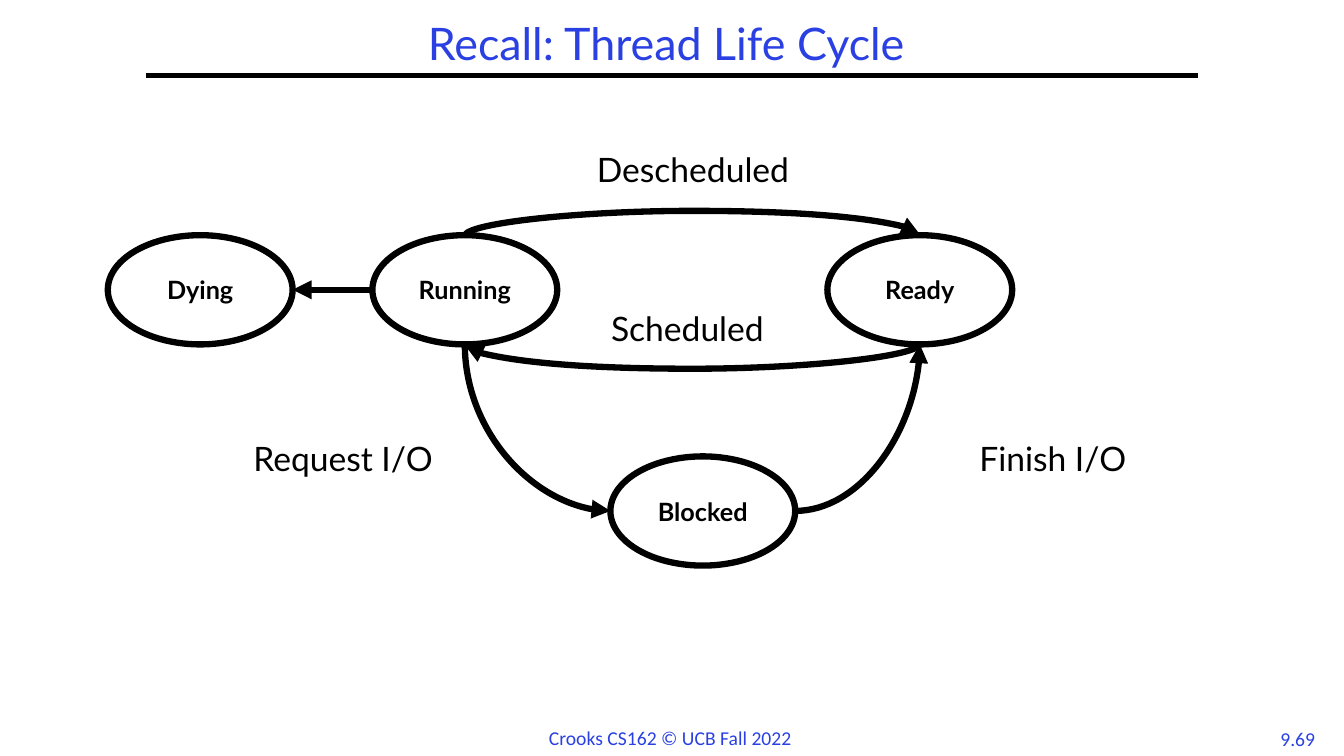
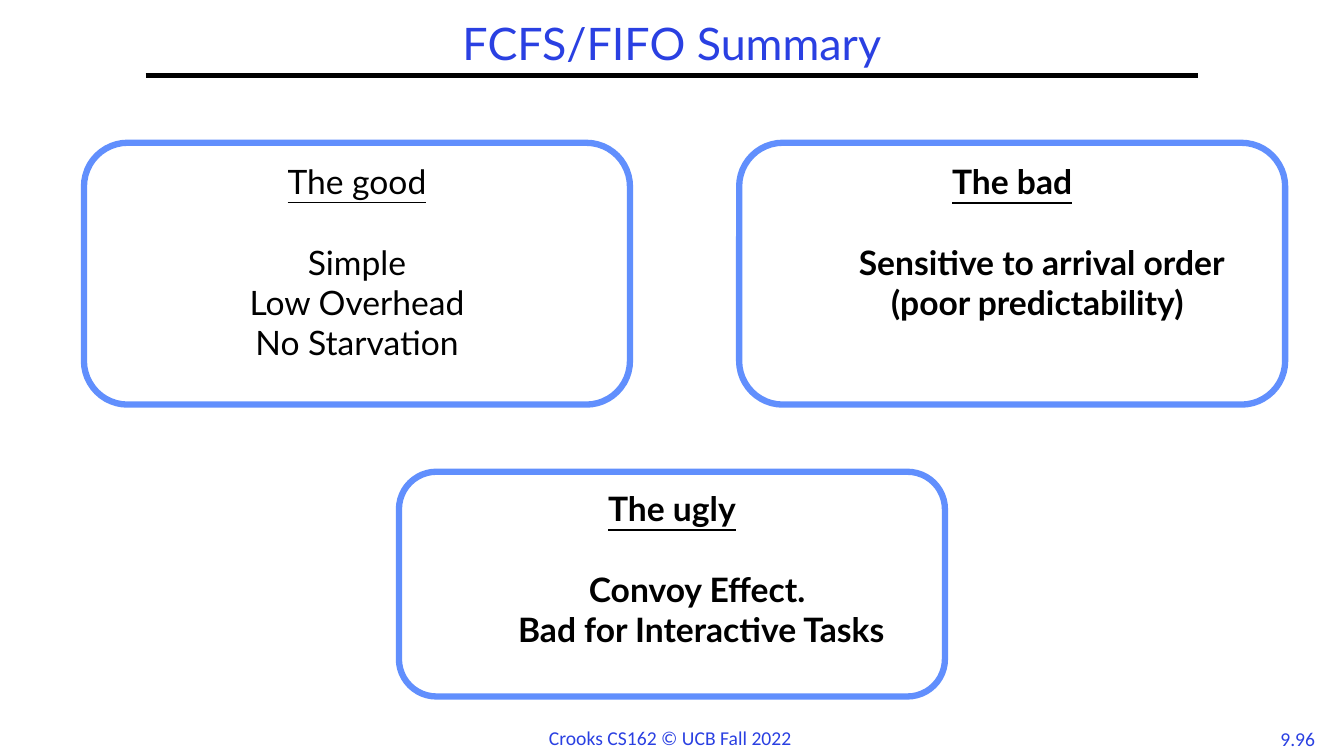
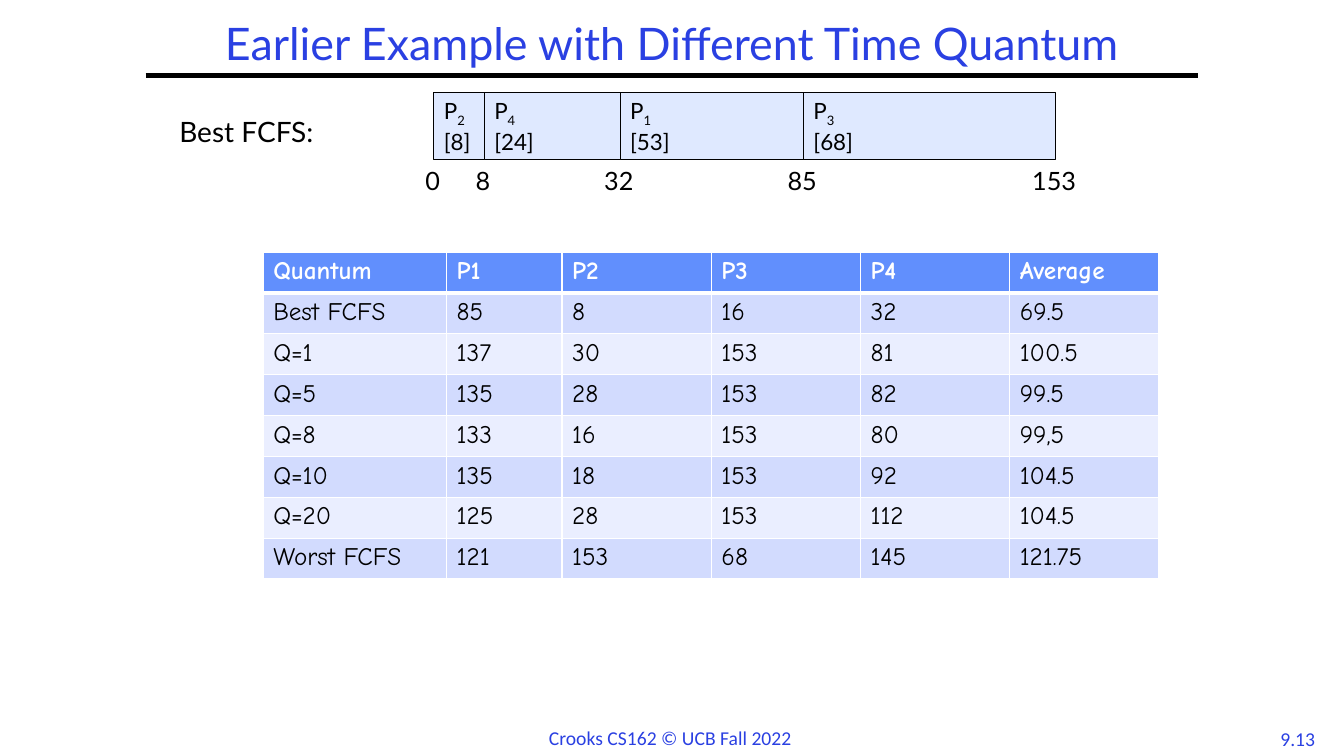
from itertools import accumulate
from math import copysign

from lxml.etree import SubElement
from pptx import Presentation
from pptx.dml.color import RGBColor
from pptx.enum.shapes import MSO_CONNECTOR, MSO_SHAPE
from pptx.enum.text import MSO_ANCHOR, PP_ALIGN
from pptx.oxml.ns import qn
from pptx.util import Pt

COLORS = {
    "accent": "2A40E2",
    "ink": "000000",
    "paper": "FFFFFF",
    "frame": "618FFD",
    "block": "DFE9FF",
    "band_dark": "D2DBFE",
    "band_light": "EAEEFF",
}
# Connection site of an ellipse and its place as a share of width and height
SITES = {"top": (0, 0.5, 0), "left": (2, 0, 0.5), "bottom": (4, 0.5, 1), "right": (6, 1, 0.5)}


def color(name):
    return RGBColor.from_string(COLORS[name])


class Deck:
    font = "Lato"
    footer_font = "Calibri"
    table_font = "Comic Neue"

    def __init__(self):
        self.presentation = Presentation()
        self.presentation.slide_width = Pt(960)
        self.presentation.slide_height = Pt(540)
        self.slide = None

    def new_slide(self, title, number, title_left=104, title_width=752):
        self.slide = self.presentation.slides.add_slide(self.presentation.slide_layouts[6])
        self.label(number, 906, 515.5, 42, 24, size=14, tint="accent", font=self.footer_font, wrap=False)
        rule = self.slide.shapes.add_connector(MSO_CONNECTOR.STRAIGHT, Pt(104), Pt(54), Pt(856), Pt(54))
        self.stroke(rule, 3)
        self.label("Crooks CS162 © UCB Fall 2022", 385, 515, 189.5, 24.5, size=14, tint="accent",
                   font=self.footer_font, align=PP_ALIGN.LEFT, wrap=False)
        self.label(title, title_left, 12, title_width, 42, size=32, tint="accent",
                   anchor=MSO_ANCHOR.MIDDLE, spacing=0.9)

    def add_run(self, paragraph, text, size, tint="ink", font=None, bold=False, underline=False, baseline=0):
        run = paragraph.add_run()
        run.text = text
        run.font.size = Pt(size)
        run.font.name = font or self.font
        run.font.color.rgb = color(tint)
        run.font.bold = bold
        run.font.underline = underline
        if baseline:
            run.font._element.set("baseline", str(baseline * 1000))

    def label(self, text, left, top, width, height, size=24, tint="ink", font=None,
              align=PP_ALIGN.CENTER, anchor=MSO_ANCHOR.TOP, wrap=True, spacing=None):
        box = self.slide.shapes.add_textbox(Pt(left), Pt(top), Pt(width), Pt(height))
        box.text_frame.word_wrap = wrap
        box.text_frame.vertical_anchor = anchor
        paragraph = box.text_frame.paragraphs[0]
        paragraph.alignment = align
        paragraph.line_spacing = spacing
        self.add_run(paragraph, text, size, tint, font)

    def stroke(self, connector, weight):
        connector.line.color.rgb = color("ink")
        connector.line.width = Pt(weight)
        SubElement(connector._element.spPr, qn("a:effectLst"))

    def panel(self, preset, left, top, width, height, fill="paper", line="ink", weight=4.5,
              anchor=MSO_ANCHOR.MIDDLE, wrap=True):
        shape = self.slide.shapes.add_shape(preset, Pt(left), Pt(top), Pt(width), Pt(height))
        shape.shadow.inherit = False
        shape.fill.solid()
        shape.fill.fore_color.rgb = color(fill)
        shape.line.color.rgb = color(line)
        shape.line.width = Pt(weight)
        shape.text_frame.vertical_anchor = anchor
        shape.text_frame.word_wrap = wrap
        return shape

    def state(self, name, left, top):
        ellipse = self.panel(MSO_SHAPE.OVAL, left, top, 132, 78)
        paragraph = ellipse.text_frame.paragraphs[0]
        paragraph.alignment = PP_ALIGN.CENTER
        self.add_run(paragraph, name, 18, bold=True)
        return ellipse

    def transition(self, source, source_side, target, target_side, curve=None, turn=0, bend=None):
        """Arrow between two states; a curve is laid out in a frame turned by `turn` degrees."""
        (x1, y1), (x2, y2) = [
            (state.left.pt + state.width.pt * SITES[side][1], state.top.pt + state.height.pt * SITES[side][2])
            for state, side in ((source, source_side), (target, target_side))]
        dx, dy = x2 - x1, y2 - y1
        across, along = {0: (dx, dy), 90: (dy, -dx), 270: (-dy, dx)}[turn]
        across = across or copysign(1, along)
        middle_x, middle_y = (x1 + x2) / 2, (y1 + y2) / 2
        arrow = self.slide.shapes.add_connector(
            MSO_CONNECTOR.CURVE if curve else MSO_CONNECTOR.STRAIGHT,
            Pt(middle_x - across / 2), Pt(middle_y - along / 2),
            Pt(middle_x + across / 2), Pt(middle_y + along / 2))
        self.stroke(arrow, 4.5)
        SubElement(arrow.line._get_or_add_ln(), qn("a:tailEnd"), type="triangle")
        joints = arrow._element.find(".//" + qn("p:cNvCxnSpPr"))
        for tag, state, side in (("a:stCxn", source, source_side), ("a:endCxn", target, target_side)):
            SubElement(joints, qn(tag), id=str(state.shape_id), idx=str(SITES[side][0]))
        properties = arrow._element.spPr
        if turn:
            properties.find(qn("a:xfrm")).set("rot", str(turn * 60000))
        if curve:
            geometry = properties.find(qn("a:prstGeom"))
            geometry.set("prst", curve)
            if bend:
                SubElement(geometry.find(qn("a:avLst")), qn("a:gd"), name="adj1", fmla=f"val {bend * 100000}")

    def verdict(self, heading, points, left, top, height, bold=True, indent=36):
        card = self.panel(MSO_SHAPE.ROUNDED_RECTANGLE, left, top, 390, height, line="frame",
                          anchor=MSO_ANCHOR.TOP)
        paragraph = card.text_frame.paragraphs[0]
        paragraph.alignment = PP_ALIGN.CENTER
        self.add_run(paragraph, heading, 24, bold=bold, underline=True)
        for index, point in enumerate(points):
            paragraph = card.text_frame.add_paragraph()
            paragraph.alignment = PP_ALIGN.CENTER
            paragraph.space_before = Pt(0 if index else 29)
            if indent:
                paragraph._p.get_or_add_pPr().set("marL", str(Pt(indent)))
            self.add_run(paragraph, point, 24, bold=bold)

    def burst(self, process, length, left, width):
        """One block of the schedule: process name with its index, and its run time."""
        block = self.panel(MSO_SHAPE.RECTANGLE, left, 66, width, 48, fill="block", weight=0.75, wrap=False)
        name = block.text_frame.paragraphs[0]
        duration = block.text_frame.add_paragraph()
        name.alignment = duration.alignment = PP_ALIGN.LEFT
        self.add_run(name, "P", 16)
        self.add_run(name, process, 16, baseline=-25)
        self.add_run(duration, f"[{length}]", 16)

    def borders(self, cell, top, bottom):
        properties = cell._tc.get_or_add_tcPr()
        for tag, weight in (("a:lnL", 1), ("a:lnR", 1), ("a:lnT", top), ("a:lnB", bottom)):
            edge = SubElement(properties, qn(tag), w=str(Pt(weight)))
            SubElement(SubElement(edge, qn("a:solidFill")), qn("a:srgbClr"), val=COLORS["paper"])

    def table(self, rows, left, top, widths, row_height):
        grid = self.slide.shapes.add_table(len(rows), len(widths), Pt(left), Pt(top), Pt(sum(widths)),
                                           Pt(row_height * len(rows))).table
        for column, width in zip(grid.columns, widths):
            column.width = Pt(width)
        for r, row in enumerate(rows):
            grid.rows[r].height = Pt(row_height)
            header = r == 0
            fill = "frame" if header else ("band_dark" if r % 2 else "band_light")
            for c, value in enumerate(row):
                cell = grid.cell(r, c)
                self.borders(cell, top=3 if r == 1 else 1, bottom=3 if header else 1)
                cell.fill.solid()
                cell.fill.fore_color.rgb = color(fill)
                self.add_run(cell.text_frame.paragraphs[0], value, 18, "paper" if header else "ink",
                             self.table_font, bold=header)


def life_cycle(deck):
    deck.new_slide("Recall: Thread Life Cycle ", "9.69")
    running = deck.state("Running", 266, 168)
    ready = deck.state("Ready", 591, 168)
    blocked = deck.state("Blocked", 436, 326)
    dying = deck.state("Dying", 77, 168)
    deck.transition(running, "top", ready, "top", "curvedConnector3", turn=90, bend=18)
    deck.transition(ready, "bottom", running, "bottom", "curvedConnector3", turn=90, bend=18)
    deck.transition(running, "bottom", blocked, "left", "curvedConnector2", turn=270)
    deck.transition(blocked, "right", ready, "bottom", "curvedConnector2")
    deck.transition(running, "left", dying, "right")
    for event, left, top in (("Request I/O", 139, 312.5), ("Finish I/O", 646, 312.5),
                             ("Descheduled", 389, 106), ("Scheduled", 385, 219.5)):
        deck.label(event, left, top, 212, 36, spacing=0.9)


def fcfs_summary(deck):
    deck.new_slide("FCFS/FIFO Summary", "9.96")
    deck.verdict("The good", ["Simple", "Low Overhead", "No Starvation"], 60, 102, 187, bold=False, indent=0)
    deck.verdict("The bad", [" Sensitive to arrival order (poor predictability)"], 528, 102, 187)
    deck.verdict("The ugly", [" Convoy Effect. ", " Bad for Interactive Tasks"], 285, 337, 160.5)


def time_quantum(deck):
    deck.new_slide("Earlier Example with Different Time Quantum", "9.137", title_left=0, title_width=960)
    schedule = [("2", 8, 36), ("4", 24, 97), ("1", 53, 131), ("3", 68, 180)]
    edges = list(accumulate((width for _, _, width in schedule), initial=310))
    times = accumulate((length for _, length, _ in schedule), initial=0)
    for (process, length, width), left in zip(schedule, edges):
        deck.burst(process, length, left, width)
    for time, edge in zip(times, edges):
        deck.label(str(time), edge - 26, 114, 50, 29, size=18, anchor=MSO_ANCHOR.MIDDLE, wrap=False)
    deck.label("Best FCFS:", 121, 78, 145, 31.5, size=20, align=PP_ALIGN.LEFT, wrap=False)
    deck.table([
        ["Quantum", "P1", "P2", "P3", "P4", "Average"],
        ["Best FCFS", "85", "8", "16", "32", "69.5"],
        ["Q=1", "137", "30", "153", "81", "100.5"],
        ["Q=5", "135", "28", "153", "82", "99.5"],
        ["Q=8", "133", "16", "153", "80", "99,5"],
        ["Q=10", "135", "18", "153", "92", "104.5"],
        ["Q=20", "125", "28", "153", "112", "104.5"],
        ["Worst FCFS", "121", "153", "68", "145", "121.75"],
    ], 188, 180, [131, 82.5] + [106.6] * 4, 29.2)


def main():
    deck = Deck()
    life_cycle(deck)
    fcfs_summary(deck)
    time_quantum(deck)
    deck.presentation.save("out.pptx")


if __name__ == "__main__":
    main()
